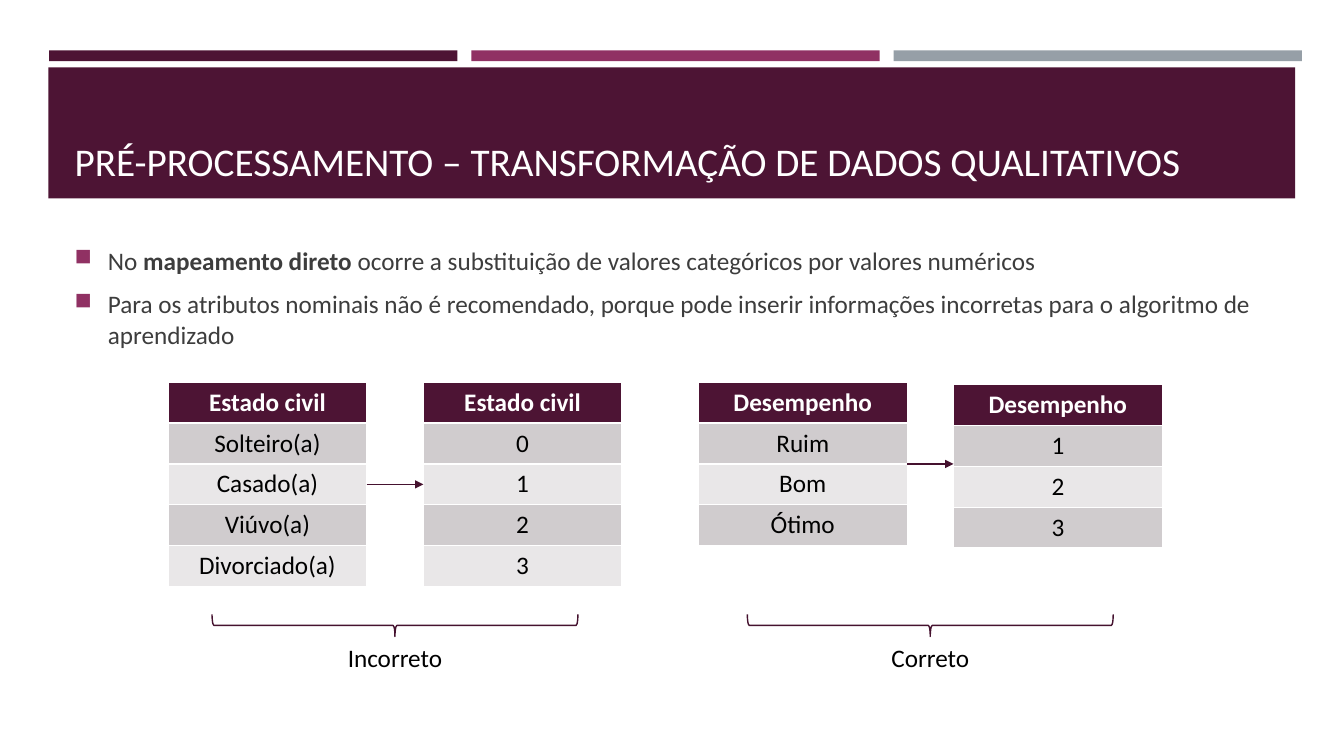
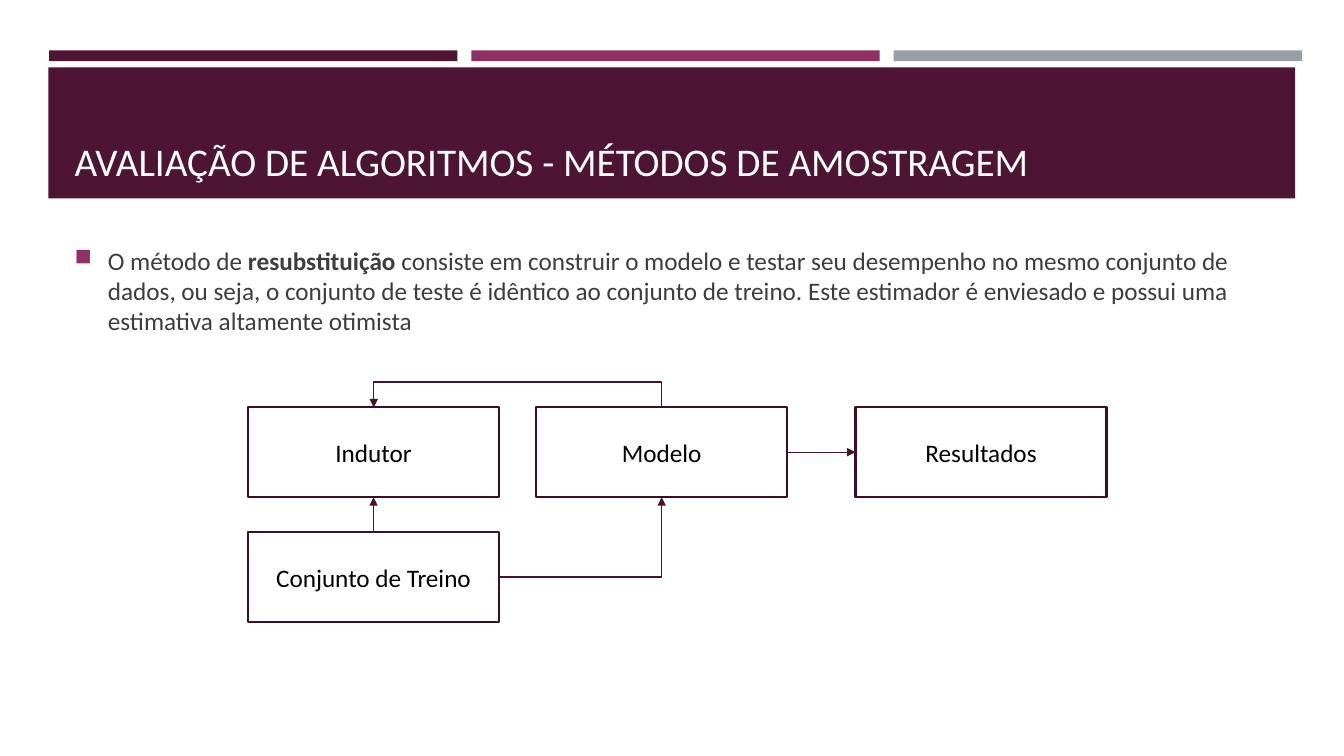
from lxml.etree import SubElement
from pptx import Presentation
from pptx.dml.color import RGBColor
from pptx.enum.shapes import MSO_CONNECTOR, MSO_SHAPE
from pptx.enum.text import MSO_ANCHOR, PP_ALIGN
from pptx.oxml.ns import qn
from pptx.util import Cm, Pt

WINE = RGBColor(0x4D, 0x14, 0x34)
PLUM = RGBColor(0x90, 0x31, 0x63)
STEEL = RGBColor(0x96, 0x9F, 0xA7)
LINE = RGBColor(0x45, 0x12, 0x2F)
FRAME = RGBColor(0x39, 0x0F, 0x26)
INK = RGBColor(0x3D, 0x3D, 0x3D)
BLACK = RGBColor(0x00, 0x00, 0x00)
WHITE = RGBColor(0xFF, 0xFF, 0xFF)
ROWS = [RGBColor(0xD0, 0xCC, 0xCE), RGBColor(0xE9, 0xE7, 0xE8)]

TITLE = {"name": "Calibri", "size": Pt(28), "bold": False}
TEXT = {"name": "Calibri", "size": Pt(18), "bold": False}
BOLD = {**TEXT, "bold": True}
BULLET = {"space_before": Pt(3.6), "space_after": Pt(6)}


def write(p, text, fmt, color):
    r = p.add_run()
    r.text = text
    for name, value in fmt.items():
        setattr(r.font, name, value)
    r.font.color.rgb = color


def arrow(s, kind, x1, y1, x2, y2):
    c = s.shapes.add_connector(kind, Cm(x1), Cm(y1), Cm(x2), Cm(y2))
    c.line.color.rgb = LINE
    c.line.width = Pt(1)
    SubElement(c.line._get_or_add_ln(), qn("a:tailEnd"), type="triangle")
    SubElement(c._element.spPr, qn("a:effectLst"))
    return c


prs = Presentation()
prs.slide_width, prs.slide_height = Cm(33.87), Cm(19.05)

contents = [
    ("PRÉ-PROCESSAMENTO – TRANSFORMAÇÃO DE DADOS QUALITATIVOS", [
        [("No ", TEXT), ("mapeamento direto ", BOLD),
         ("ocorre a substituição de valores categóricos por valores numéricos", TEXT)],
        [("Para os atributos nominais não é recomendado, porque pode inserir "
          "informações incorretas para o algoritmo de aprendizado", TEXT)],
    ]),
    ("AVALIAÇÃO DE ALGORITMOS - MÉTODOS DE AMOSTRAGEM", [
        [("O método de ", TEXT), ("resubstituição ", BOLD),
         ("consiste em construir o modelo e testar seu desempenho no mesmo conjunto "
          "de dados, ou seja, o conjunto de teste é idêntico ao conjunto de treino. "
          "Este estimador é enviesado e possui uma estimativa altamente otimista", TEXT)],
    ]),
]
bands = [(1.24 + 10.64 * i, 1.27, 10.29, 0.27, color)
         for i, color in enumerate([WINE, PLUM, STEEL])]
bands.append((1.22, 1.7, 31.42, 3.3, WINE))

for title, bullets in contents:
    s = prs.slides.add_slide(prs.slide_layouts[6])
    for x, y, w, h, color in bands:
        sp = s.shapes.add_shape(MSO_SHAPE.RECTANGLE, Cm(x), Cm(y), Cm(w), Cm(h))
        sp.shadow.inherit = False
        sp.fill.solid()
        sp.fill.fore_color.rgb = color
        sp.line.fill.background()

    tf = s.shapes.add_textbox(Cm(1.63), Cm(1.96), Cm(30.63), Cm(2.82)).text_frame
    tf.word_wrap = True
    tf.vertical_anchor = MSO_ANCHOR.BOTTOM
    write(tf.paragraphs[0], title, TITLE, WHITE)

    tf = s.shapes.add_textbox(Cm(1.63), Cm(6.05), Cm(30.63), Cm(3.2)).text_frame
    tf.word_wrap = True
    for i, runs in enumerate(bullets):
        p = tf.add_paragraph() if i else tf.paragraphs[0]
        for name, value in BULLET.items():
            setattr(p, name, value)
        pPr = p._p.get_or_add_pPr()
        pPr.set("marL", str(Cm(0.84)))
        pPr.set("indent", str(-Cm(0.84)))
        SubElement(SubElement(pPr, qn("a:buClr")), qn("a:srgbClr"), val=str(PLUM))
        SubElement(pPr, qn("a:buSzPct"), val="92000")
        SubElement(pPr, qn("a:buChar"), char="■")
        for text, fmt in runs:
            write(p, text, fmt, INK)

mapping, sampling = prs.slides

TOP, ROW, STEP = 9.63, 1.03, 6.43
pairs = [
    (4.24, 5.0, 0, "Estado civil", "Incorreto",
     ["Solteiro(a)", "Casado(a)", "Viúvo(a)", "Divorciado(a)"], ["0", "1", "2", "3"]),
    (17.6, 5.26, 0.06, "Desempenho", "Correto",
     ["Ruim", "Bom", "Ótimo"], ["1", "2", "3"]),
]
for left, width, drop, head, verdict, names, codes in pairs:
    count = len(names) + 1
    for x, y, values in [(left, TOP, names), (left + STEP, TOP + drop, codes)]:
        table = mapping.shapes.add_table(
            count, 1, Cm(x), Cm(y), Cm(width), Cm(ROW * count)).table
        table.horz_banding = False
        for i, value in enumerate([head] + values):
            cell = table.cell(i, 0)
            cell.fill.solid()
            cell.fill.fore_color.rgb = ROWS[(i - 1) % 2] if i else WINE
            p = cell.text_frame.paragraphs[0]
            p.alignment = PP_ALIGN.CENTER
            write(p, value, TEXT if i else BOLD, BLACK if i else WHITE)

    middle = TOP + ROW * count / 2
    arrow(mapping, MSO_CONNECTOR.STRAIGHT, left + width, middle, left + STEP, middle)

    center = left + (STEP + width) / 2
    sp = mapping.shapes.add_shape(
        MSO_SHAPE.LEFT_BRACE, Cm(center - 0.28), Cm(11.15), Cm(0.56), Cm(9.22))
    sp.rotation = 270
    sp.shadow.inherit = False
    sp.fill.background()
    sp.line.color.rgb = LINE
    sp.line.width = Pt(1)

    tf = mapping.shapes.add_textbox(Cm(center - 2), Cm(16.05), Cm(4), Cm(1.02)).text_frame
    tf.word_wrap = True
    p = tf.paragraphs[0]
    p.alignment = PP_ALIGN.CENTER
    write(p, verdict, TEXT, BLACK)

BOX_W, BOX_H = 6.33, 2.27
boxes = {}
for text, x, y in [("Indutor", 6.25, 10.26), ("Modelo", 13.51, 10.26),
                   ("Conjunto de Treino", 6.25, 13.41), ("Resultados", 21.56, 10.26)]:
    sp = sampling.shapes.add_shape(
        MSO_SHAPE.RECTANGLE, Cm(x), Cm(y), Cm(BOX_W), Cm(BOX_H))
    sp.shadow.inherit = False
    sp.fill.background()
    sp.line.color.rgb = FRAME
    sp.line.width = Pt(1.75)
    tf = sp.text_frame
    tf.word_wrap = True
    tf.vertical_anchor = MSO_ANCHOR.MIDDLE
    p = tf.paragraphs[0]
    p.alignment = PP_ALIGN.CENTER
    write(p, text, TEXT, BLACK)
    boxes[text] = sp

links = {}
for kind, start, i, end, j in [
    (MSO_CONNECTOR.STRAIGHT, "Conjunto de Treino", 0, "Indutor", 2),
    (MSO_CONNECTOR.STRAIGHT, "Modelo", 3, "Resultados", 1),
    (MSO_CONNECTOR.ELBOW, "Conjunto de Treino", 3, "Modelo", 2),
    (MSO_CONNECTOR.ELBOW, "Indutor", 0, "Modelo", 0),
]:
    c = arrow(sampling, kind, 0, 0, 1, 1)
    c.begin_connect(boxes[start], i)
    c.end_connect(boxes[end], j)
    links[start, end] = c

corner = links["Conjunto de Treino", "Modelo"]
corner._element.spPr.find(qn("a:prstGeom")).set("prst", "bentConnector2")

over = links["Indutor", "Modelo"]
span = 13.51 - 6.25
over.left, over.top = Cm(6.25 + (BOX_W + span) / 2), Cm(10.26 - span / 2)
over.width, over.height = Cm(0.01), Cm(span)
xfrm = over._element.spPr.find(qn("a:xfrm"))
xfrm.set("rot", "16200000")
xfrm.set("flipH", "1")
avLst = over._element.spPr.find(qn("a:prstGeom")).get_or_add_avLst()
SubElement(avLst, qn("a:gd"), name="adj1", fmla="val -6300000")

prs.save("out.pptx")
